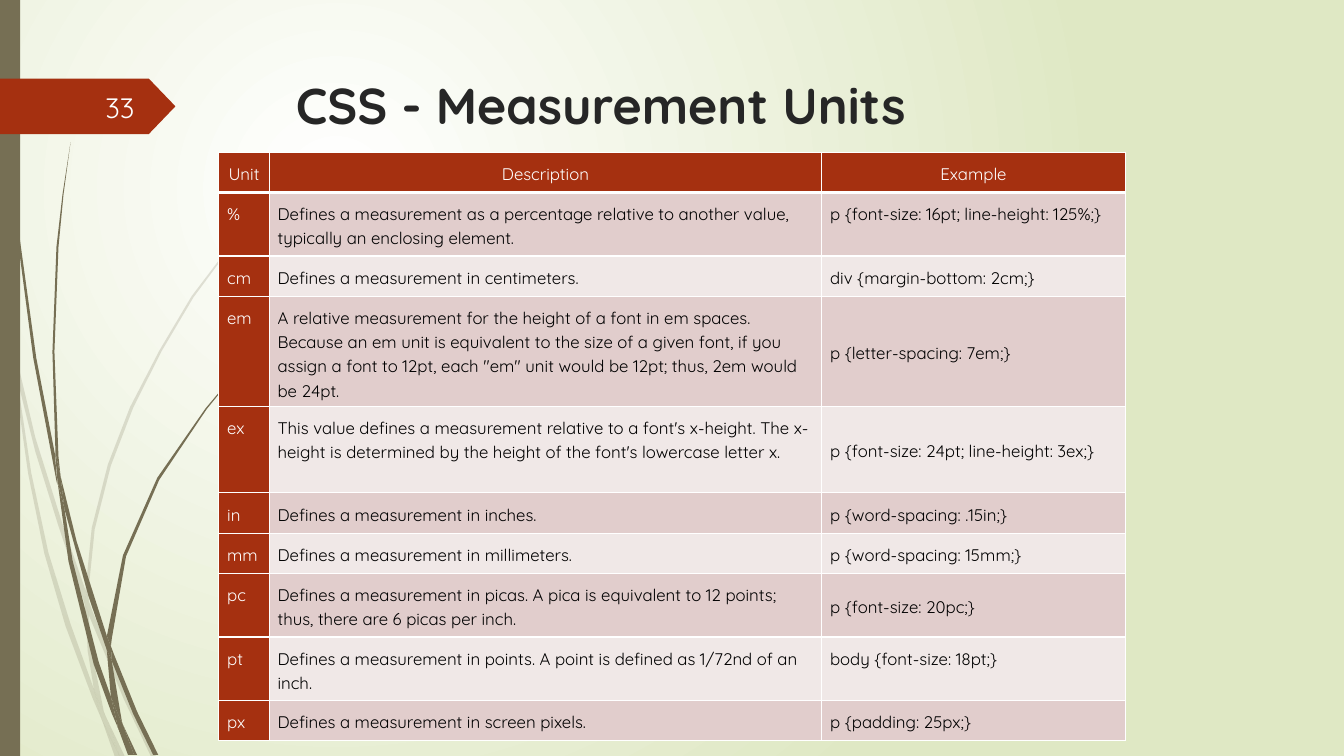
import pptx
import pptx.dml.color
import pptx.enum.shapes
import pptx.enum.text
import pptx.oxml
import pptx.util

FONT = "Quicksand"
OLIVE, RUST, WHITE, BLACK = "766F54", "A53010", "FFFFFF", "000000"
BANDS = ("E1CDCC", "F0E8E7")
A_NS = 'xmlns:a="http://schemas.openxmlformats.org/drawingml/2006/main"'
ALIGN = pptx.enum.text.PP_ALIGN
ANCHOR = pptx.enum.text.MSO_ANCHOR
SHAPE = pptx.enum.shapes.MSO_SHAPE

prs = pptx.Presentation()
prs.slide_width = pptx.util.Inches(13.33)
prs.slide_height = pptx.util.Inches(7.5)
UNIT = prs.slide_height / 75  # the slide grid has 75 rows of square cells

# Outlines of the grass pieces: (column, row) corners
LIGHT_GRASS = [
    [(1.1, 35), (0.9, 32.2), (0, 28.2), (0, 29.9), (1, 34.4)],
    [(5.8, 52.2), (8.4, 59.9), (8.5, 58.6), (6.2, 52), (3.5, 43.4), (1.4, 34.5),
     (1.7, 37.6), (3.5, 44.8)],
    [(9.2, 60.7), (8.8, 59.6), (8.8, 61), (12.3, 69.4), (15, 75.1), (15.5, 75.1), (12.7, 69.2)],
    [(11.9, 75.1), (12.4, 75.1), (10.5, 71.1)],
    [(9.3, 68.3), (7, 61.9), (4.8, 54.8), (3.1, 46.9), (1.7, 37.6), (1.1, 35), (2.8, 47),
     (4.4, 54.9), (6.5, 62.1), (9.2, 69.3), (10.1, 71.4), (9.9, 70.7)],
    [(8.4, 59.9), (8.7, 64.6), (9.3, 68.3), (9.6, 69.2), (10.5, 71.1), (10.3, 70.6),
     (9.1, 64.6), (8.8, 61), (8.8, 60.8)],
    [(8.8, 58.4), (9.4, 52.5), (11, 46.2), (13.2, 40.5), (16, 34.9), (19.2, 29.5),
     (22.9, 24.5), (26.8, 19.8), (31.2, 15.4), (31.2, 15.3), (26.8, 19.7), (22.8, 24.4),
     (19, 29.4), (15.8, 34.8), (12.9, 40.4), (10.7, 46.1), (9.1, 52.4), (8.5, 58.4),
     (8.5, 58.6), (8.8, 59.6)],
    [(10.1, 71.4), (11.4, 75.1), (11.9, 75.1)],
    [(8.8, 60.8), (8.8, 61), (8.8, 59.6), (8.5, 58.6), (8.4, 59.9)],
    [(9.6, 69.2), (9.3, 68.3), (9.9, 70.7), (10.1, 71.4), (11.9, 75.1), (10.5, 71.1)],
]
DARK_GRASS = [
    [(0.7, 11), (1.7, 23.3), (3.3, 35.5), (5.6, 47.7), (5.7, 48.1), (5.5, 45.7), (5.5, 45.3),
     (3.6, 35.5), (1.9, 23.2), (0.8, 10.9), (0.5, 4.8), (0.4, 0), (0.3, 0), (0.4, 4.8)],
    [(8.8, 59.2), (10.6, 64.5), (10.6, 63.1), (9.3, 59), (7.6, 53.7), (6, 47.2), (6.4, 50.5)],
    [(11.3, 64.9), (11, 64.1), (11.1, 65.6), (13.2, 70.8), (15.2, 74.9), (15.7, 74.9),
     (13.6, 70.6)],
    [(11, 69.1), (9.8, 65.7), (7.2, 55.6), (6.4, 50.5), (5.7, 47.7), (6.8, 55.7),
     (9.3, 65.9), (11.1, 70.8), (11.7, 72.2), (11.6, 71.7)],
    [(6, 47.2), (5.8, 45.3), (5.4, 34.9), (5.8, 24.5), (6.3, 19.3), (7, 14.1), (6.2, 19.3),
     (5.6, 24.5), (5.2, 34.9), (5.5, 44.9)],
    [(13.3, 74.9), (13.6, 74.9), (12.2, 71.9)],
    [(5.7, 47.7), (6.4, 50.5), (6, 47.2), (5.5, 44.9), (5.5, 45.3)],
    [(11.1, 63.3), (12.5, 55.2), (15.8, 47.6), (20.5, 40.6), (23.1, 37.4), (26.1, 34.4),
     (26, 34.4), (23.1, 37.3), (20.4, 40.5), (15.6, 47.4), (12.2, 55.1), (10.6, 63.1),
     (11, 64.1)],
    [(11.7, 72.2), (12.7, 74.9), (13.1, 74.9)],
    [(10.6, 64.5), (11, 69.1), (11.6, 70.6), (12.2, 71.9), (12.1, 71.6), (11.1, 65.6),
     (10.9, 65.1)],
    [(10.6, 64.5), (10.9, 65.1), (11.1, 65.6), (11, 64.1), (10.6, 63.1)],
    [(11.6, 70.6), (11, 69.1), (11.6, 71.7), (11.7, 72.2), (13, 74.9), (13.3, 74.9),
     (12.2, 71.9)],
]

HEADER = ("Unit", "Description", "Example")
COL_WIDTHS = (5, 54.8, 30.1)
# unit, description, example, row height
UNITS = [
    ("%", "Defines a measurement as a percentage relative to another value, "
          "typically an enclosing element.", "p {font-size: 16pt; line-height: 125%;}", 6.3),
    ("cm", "Defines a measurement in centimeters.", "div {margin-bottom: 2cm;}", 4),
    ("em", "A relative measurement for the height of a font in em spaces. Because an em unit "
           "is equivalent to the size of a given font, if you assign a font to 12pt, each "
           "\"em\" unit would be 12pt; thus, 2em would be 24pt.", "p {letter-spacing: 7em;}", 10.9),
    ("ex", "This value defines a measurement relative to a font's x-height. The x-height is "
           "determined by the height of the font's lowercase letter x.",
     "p {font-size: 24pt; line-height: 3ex;}", 8.6),
    ("in", "Defines a measurement in inches.", "p {word-spacing: .15in;}", 4),
    ("mm", "Defines a measurement in millimeters.", "p {word-spacing: 15mm;}", 4),
    ("pc", "Defines a measurement in picas. A pica is equivalent to 12 points; "
           "thus, there are 6 picas per inch.", "p {font-size: 20pc;}", 6.3),
    ("pt", "Defines a measurement in points. A point is defined as 1/72nd of an inch.",
     "body {font-size: 18pt;}", 6.2),
    ("px", "Defines a measurement in screen pixels.", "p {padding: 25px;}", 4),
]
MIDDLE_EXAMPLES = ("em", "ex", "pc")


def rgb(value):
    return pptx.dml.color.RGBColor.from_string(value)


def grid(*cells):
    return [round(c * UNIT) for c in cells]


def paint(shape, color, opacity=100):
    shape.shadow.inherit = False
    shape.line.fill.background()
    shape.fill.solid()
    shape.fill.fore_color.rgb = rgb(color)
    if opacity < 100:
        clr = shape.fill._xPr.find(".//" + pptx.oxml.ns.qn("a:srgbClr"))
        clr.append(pptx.oxml.parse_xml(f'<a:alpha {A_NS} val="{opacity * 1000}"/>'))


def style(p, size, color, bold=False, align=ALIGN.LEFT):
    p.alignment = align
    p.font.name, p.font.size, p.font.bold = FONT, pptx.util.Pt(size), bold
    p.font.color.rgb = rgb(color)


def add_text(s, box, text, anchor, **look):
    tf = s.shapes.add_textbox(*grid(*box)).text_frame
    tf.word_wrap = True
    tf.vertical_anchor = anchor
    tf.text = text
    style(tf.paragraphs[0], **look)


def add_grass(s, x, y, pieces, opacity):
    for piece in pieces:
        corners = [grid(x + cx, y + cy) for cx, cy in piece]
        fb = s.shapes.build_freeform(*corners[0])
        fb.add_line_segments(corners[1:], close=True)
        paint(fb.convert_to_shape(), OLIVE, opacity)


def add_backdrop(s, x, y, h):
    # Radial background
    fill = s.background.fill
    fill.gradient()
    old = fill._xPr.find(pptx.oxml.ns.qn("a:gradFill"))
    old.getparent().replace(old, pptx.oxml.parse_xml(
        f'<a:gradFill {A_NS} rotWithShape="1"><a:gsLst>'
        '<a:gs pos="0"><a:srgbClr val="FFFFFF"/></a:gs>'
        '<a:gs pos="100000"><a:srgbClr val="DFE8C4"/></a:gs></a:gsLst>'
        '<a:path path="circle"><a:fillToRect l="50000" t="50000" r="100000" b="100000"/>'
        '</a:path></a:gradFill>'))
    # Grass and side bar
    add_grass(s, x, y, LIGHT_GRASS, 20)
    add_grass(s, x, y, DARK_GRASS, 100)
    paint(s.shapes.add_shape(SHAPE.RECTANGLE, *grid(x, y, 2, h)), OLIVE)


def add_page_tag(s, x, y, w, h, number):
    tag = s.shapes.add_shape(SHAPE.PENTAGON, *grid(x, y, w, h))
    tag.adjustments[0] = 0.48
    paint(tag, RUST)
    add_text(s, (x + w / 3, y + 0.8, w * 0.49, 4), number, ANCHOR.MIDDLE,
             size=20, color="FEFFFF", align=ALIGN.RIGHT)


def fill_cell(cell, text, fill, color, align, anchor, bottom):
    cell.margin_left = cell.margin_right = cell.margin_top = cell.margin_bottom = pptx.util.Pt(6)
    cell.vertical_anchor = anchor
    tcPr = cell._tc.get_or_add_tcPr()
    for side, width in zip("LRTB", (1, 1, 1, bottom)):
        tcPr.append(pptx.oxml.parse_xml(
            f'<a:ln{side} {A_NS} w="{pptx.util.Pt(width)}"><a:solidFill>'
            f'<a:srgbClr val="{WHITE}"/></a:solidFill></a:ln{side}>'))
    cell.fill.solid()
    cell.fill.fore_color.rgb = rgb(fill)
    cell.text = text
    p = cell.text_frame.paragraphs[0]
    p.line_spacing = 1.15
    style(p, 12, color, align=align)


def add_unit_table(s, x, y):
    heights = [4] + [row[3] for row in UNITS]
    table = s.shapes.add_table(len(heights), len(COL_WIDTHS),
                               *grid(x, y, sum(COL_WIDTHS), sum(heights))).table
    for col, w in zip(table.columns, COL_WIDTHS):
        col.width = grid(w)[0]
    for row, h in zip(table.rows, heights):
        row.height = grid(h)[0]
    for r, texts in enumerate([HEADER] + [row[:3] for row in UNITS]):
        for c, text in enumerate(texts):
            label = r == 0 or c == 0
            middle = c == 2 and texts[0] in MIDDLE_EXAMPLES
            fill_cell(table.cell(r, c), text,
                      RUST if label else BANDS[(r - 1) % 2], WHITE if label else BLACK,
                      ALIGN.CENTER if r == 0 else ALIGN.LEFT,
                      ANCHOR.MIDDLE if middle else ANCHOR.TOP, 3 if r == 0 else 1)


s = prs.slides.add_slide(prs.slide_layouts[6])
add_backdrop(s, 0, 0, 75)
add_page_tag(s, 0, 7.8, 17.4, 5.5, "33")
add_text(s, (28.35, 6.85, 97.5, 14), "CSS - Measurement Units", ANCHOR.TOP,
         size=36, color="262626", bold=True)
add_unit_table(s, 21.7, 15.1)
prs.save("out.pptx")
